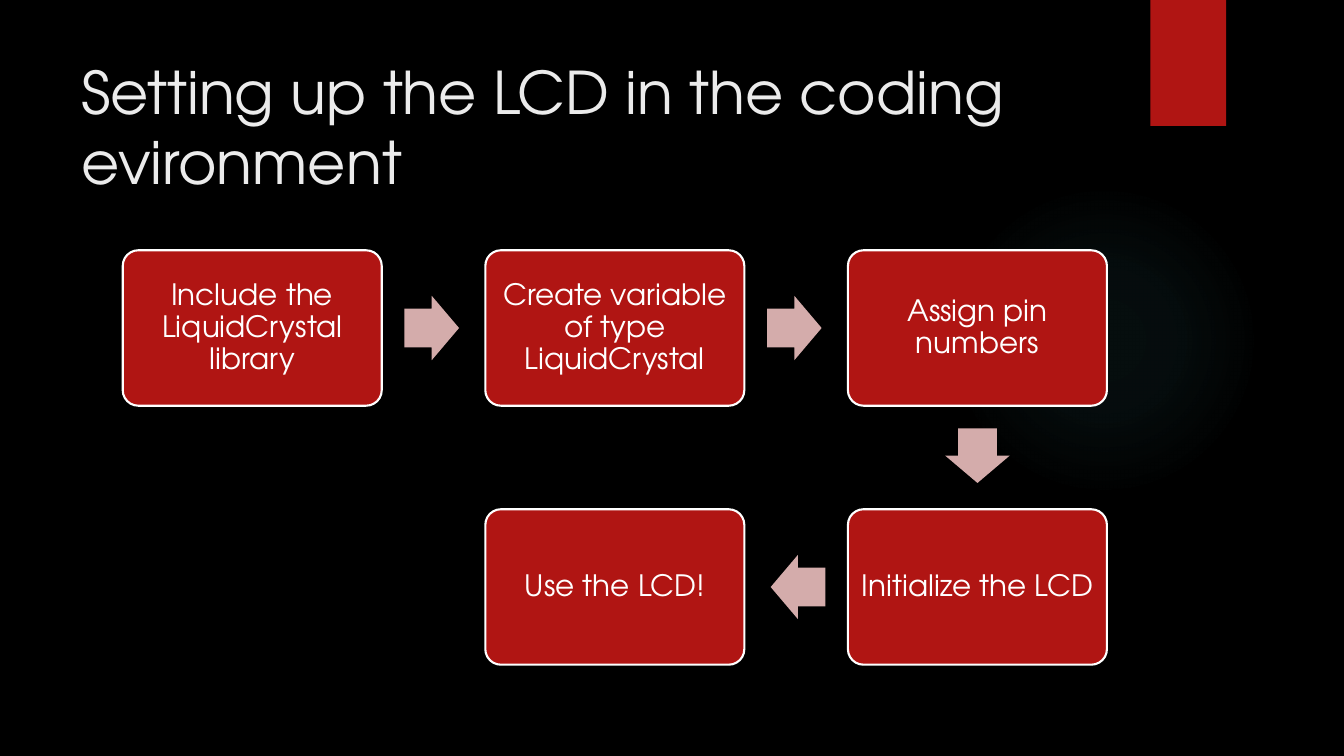
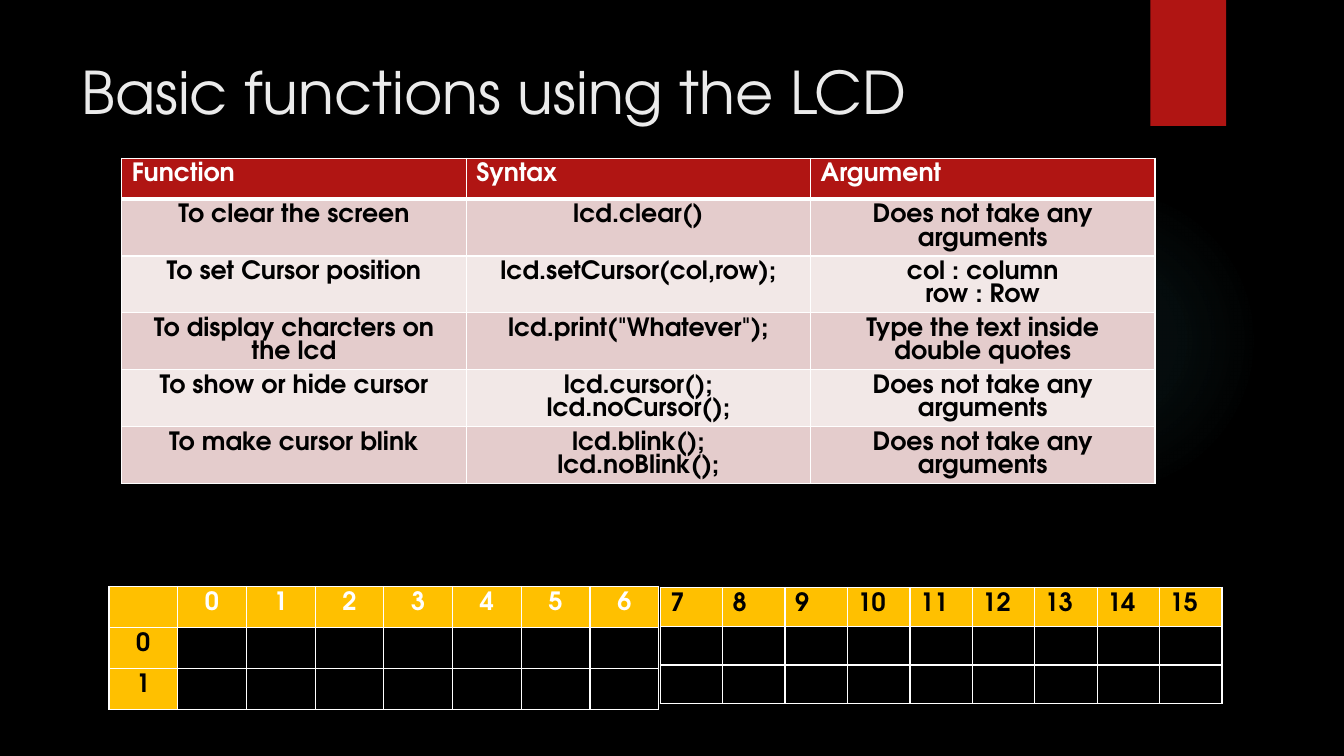
"""Build two dark slides on setting up and using an LCD."""
import math
from dataclasses import dataclass
from itertools import pairwise

from pptx import Presentation
from pptx.dml.color import RGBColor
from pptx.enum import shapes, text
from pptx.oxml import parse_xml
from pptx.oxml.ns import nsdecls
from pptx.util import Pt


@dataclass(frozen=True)
class Theme:
    font: str = "TeX Gyre Adventor"
    black: str = "000000"
    white: str = "FFFFFF"
    title: str = "EBEBEB"
    red: str = "B01513"
    arrow: str = "D4ACAB"
    band_dark: str = "E4CCCC"
    band_light: str = "F2E8E7"
    amber: str = "FFC000"
    glow: str = "50B9C1"
    title_size: int = 42
    box_size: int = 21
    cell_size: int = 18


T = Theme()


def set_font(p, size, color, bold=False):
    p.font.name, p.font.size, p.font.bold = T.font, Pt(size), bold
    p.font.color.rgb = RGBColor.from_string(color)


def add_grid(s, rows, at, cell_size, fill, ink, align, head_rule=1):
    n_rows, n_cols = len(rows), len(rows[0])
    w, h = cell_size
    frame = s.shapes.add_table(n_rows, n_cols, Pt(at[0]), Pt(at[1]), Pt(w * n_cols), Pt(h * n_rows))
    tbl = frame.table
    tbl.first_row = tbl.horz_banding = False
    for col in tbl.columns:
        col.width = Pt(w)
    for i, row in enumerate(rows):
        tbl.rows[i].height = Pt(h)
        for j, words in enumerate(row):
            cell = tbl.cell(i, j)
            tc_pr = cell._tc.get_or_add_tcPr()
            for side in "LRTB":
                rule = head_rule if (i, side) in ((0, "B"), (1, "T")) else 1
                tc_pr.append(parse_xml(
                    f'<a:ln{side} {nsdecls("a")} w="{Pt(rule)}"><a:solidFill>'
                    f'<a:srgbClr val="{T.white}"/></a:solidFill></a:ln{side}>'))
            color = fill(i, j)
            if color:
                cell.fill.solid()
                cell.fill.fore_color.rgb = RGBColor.from_string(color)
            else:
                cell.fill.background()
            if not words:
                cell.margin_top = cell.margin_bottom = 0
                continue
            cell.text_frame.text = words
            for p in cell.text_frame.paragraphs:
                p.alignment = align(i)
                set_font(p, T.cell_size, ink(i), bold=True)


LEFT, CENTER = text.PP_ALIGN.LEFT, text.PP_ALIGN.CENTER
SHAPE = shapes.MSO_SHAPE

prs = Presentation()
prs.slide_width, prs.slide_height = Pt(960), Pt(540)
master, layout = prs.slide_master, prs.slide_layouts[5]
master.background.fill.solid()
master.background.fill.fore_color.rgb = RGBColor.from_string(T.black)

slides = []
for title, height in (("Setting up the LCD in the coding evironment", 67),
                      ("Basic functions using the LCD", 54)):
    s = prs.slides.add_slide(layout)
    sp = s.shapes.title
    sp.left, sp.top, sp.width, sp.height = Pt(51), Pt(36), Pt(741), Pt(height)
    tf = sp.text_frame
    tf.text = title
    tf.word_wrap, tf.auto_size = True, text.MSO_AUTO_SIZE.NONE
    tf.vertical_anchor = text.MSO_ANCHOR.TOP
    tf.paragraphs[0].alignment = LEFT
    set_font(tf.paragraphs[0], T.title_size, T.title)
    slides.append(s)
flow, functions = slides

glow = flow.shapes.add_shape(SHAPE.OVAL, Pt(677.5), Pt(131.8), Pt(222), Pt(222))
stops = "".join(
    f'<a:gs pos="{pos}000"><a:srgbClr val="{T.glow}"><a:alpha val="{alpha}000"/></a:srgbClr></a:gs>'
    for pos, alpha in ((0, 7), (36, 6), (69, 0)))
glow._element.spPr.insert(2, parse_xml(
    f'<a:gradFill {nsdecls("a")}><a:gsLst>{stops}</a:gsLst><a:path path="circle">'
    '<a:fillToRect l="50000" t="50000" r="50000" b="50000"/></a:path></a:gradFill>'))
ribbon = flow.shapes.add_shape(SHAPE.RECTANGLE, Pt(821.8), Pt(0), Pt(54), Pt(90))
ribbon.fill.solid()
ribbon.fill.fore_color.rgb = RGBColor.from_string(T.red)
for index, sp in enumerate((glow, ribbon), start=2):
    sp.line.fill.background()
    sp.shadow.inherit = False
    master.shapes._spTree.insert(index, sp._element)

BOX_W, BOX_H = 185, 111
PITCH_X, PITCH_Y = 259, 185
FIRST_X, FIRST_Y = 87.7, 178.8
ARROW_W, ARROW_H, ARROW_BACK = 39, 46, 1.3
steps = [
    ("Include the LiquidCrystal library", 0, 0),
    ("Create variable of type LiquidCrystal", 1, 0),
    ("Assign pin numbers", 2, 0),
    ("Initialize the LCD", 2, 1),
    ("Use the LCD!", 1, 1),
]
for words, col, row in steps:
    sp = flow.shapes.add_shape(SHAPE.ROUNDED_RECTANGLE, Pt(FIRST_X + col * PITCH_X),
                               Pt(FIRST_Y + row * PITCH_Y), Pt(BOX_W), Pt(BOX_H))
    sp.adjustments[0] = 0.1
    sp.shadow.inherit = False
    sp.fill.solid()
    sp.fill.fore_color.rgb = RGBColor.from_string(T.red)
    sp.line.color.rgb = RGBColor.from_string(T.white)
    sp.line.width = Pt(1.5)
    tf = sp.text_frame
    tf.text = words
    tf.word_wrap, tf.vertical_anchor = True, text.MSO_ANCHOR.MIDDLE
    tf.margin_left = tf.margin_right = tf.margin_top = tf.margin_bottom = Pt(6)
    p = tf.paragraphs[0]
    p.alignment, p.line_spacing = CENTER, 0.9
    set_font(p, T.box_size, T.white)

for (_, col, row), (_, next_col, next_row) in pairwise(steps):
    dx, dy = next_col - col, next_row - row
    x = FIRST_X + BOX_W / 2 + (col + dx / 2) * PITCH_X - dx * ARROW_BACK
    y = FIRST_Y + BOX_H / 2 + (row + dy / 2) * PITCH_Y - dy * ARROW_BACK
    sp = flow.shapes.add_shape(SHAPE.RIGHT_ARROW, Pt(x - ARROW_W / 2), Pt(y - ARROW_H / 2),
                               Pt(ARROW_W), Pt(ARROW_H))
    sp.adjustments[0], sp.adjustments[1] = 0.6, 0.5
    sp.rotation = math.degrees(math.atan2(dy, dx))
    sp.shadow.inherit = False
    sp.fill.solid()
    sp.fill.fore_color.rgb = RGBColor.from_string(T.arrow)
    sp.line.fill.background()

no_args = "Does not take any arguments"
function_rows = [
    ("Function", "Syntax", "Argument"),
    ("To clear the screen", "lcd.clear()", no_args),
    ("To set Cursor position", "lcd.setCursor(col,row);", "col : column\nrow : Row"),
    ("To display charcters on the lcd", 'lcd.print("Whatever");',
     "Type the text inside double quotes"),
    ("To show or hide cursor", "lcd.cursor();\nlcd.noCursor();", no_args),
    ("To make cursor blink", "lcd.blink();\nlcd.noBlink();", no_args),
]
add_grid(functions, function_rows, (87, 113), (246, 29.2),
         fill=lambda i, j: T.red if i == 0 else T.band_dark if i % 2 else T.band_light,
         ink=lambda i: T.black if i else T.white,
         align=lambda i: CENTER if i else LEFT, head_rule=3)

left_rows = [["", *map(str, range(7))], ["0"] + [""] * 7, ["1"] + [""] * 7]
add_grid(functions, left_rows, (77.8, 419), (49.1, 29.2),
         fill=lambda i, j: T.amber if i == 0 or j == 0 else None,
         ink=lambda i: T.black if i else T.white,
         align=lambda i: CENTER)

right_rows = [[str(n) for n in range(7, 16)], [""] * 9, [""] * 9]
add_grid(functions, right_rows, (471.6, 419.6), (44.6, 27.7),
         fill=lambda i, j: None if i else T.amber,
         ink=lambda i: T.black,
         align=lambda i: LEFT)

prs.save("out.pptx")
